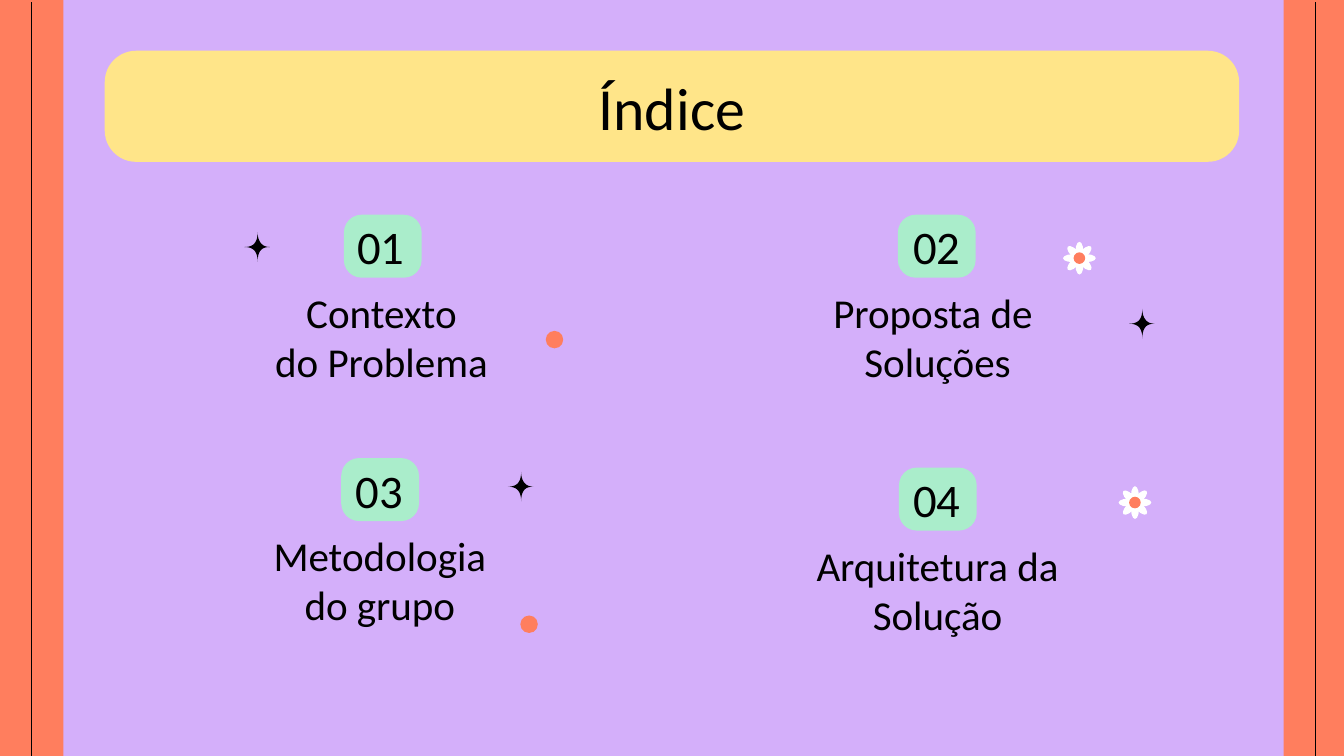
from dataclasses import dataclass
from math import cos, radians, sin

from lxml.etree import SubElement
from pptx import Presentation
from pptx.dml.color import RGBColor
from pptx.enum.shapes import MSO_CONNECTOR, MSO_SHAPE
from pptx.enum.text import MSO_ANCHOR, PP_ALIGN
from pptx.oxml.ns import qn
from pptx.shapes.autoshape import Shape
from pptx.slide import Slide
from pptx.util import Cm, Pt


@dataclass(frozen=True)
class Theme:
    background: str = "D4AFFA"
    coral: str = "FF7E5E"
    banner: str = "FFE589"
    badge: str = "AAEDCB"
    petal: str = "FFFFFF"
    ink: str = "000000"
    font: str = "Calibri"
    title_size: int = 32
    number_size: int = 25
    label_size: int = 22
    corner: float = 0.282


@dataclass(frozen=True)
class Box:
    """Left, top, width and height in centimetres."""
    left: float
    top: float
    width: float
    height: float


@dataclass(frozen=True)
class Entry:
    number: str
    lines: tuple[str, ...]
    badge_left: float
    number_left: float
    top: float


THEME = Theme()
WIDTH, HEIGHT = 25.4, 14.29
BAND_WIDTH = 1.2
BAND_LEFTS = (0, 24.26)

ENTRIES = (
    Entry("01", ("Contexto", "do Problema"), 6.5, 6.05, 4.06),
    Entry("02", ("Proposta de ", "Soluções"), 16.97, 16.56, 4.06),
    Entry("03", ("Metodologia", "do grupo"), 6.45, 6.02, 8.66),
    Entry("04", ("Arquitetura da Solução",), 16.99, 16.56, 8.84),
)

SPARKLES = ((4.62, 4.39), (9.6, 8.92), (21.34, 5.84))
FLOWER_CENTRES = ((21.45, 9.5), (20.4, 4.88))
DOT_CENTRES = ((10.48, 6.42), (10, 11.8))

# Each curve: first control point, second control point, end point
SPARKLE_START = (0.25, 0)
SPARKLE_CURVES = (
    ((0.25, 0.2), (0.17, 0.28), (0, 0.28)),
    ((0.2, 0.28), (0.25, 0.4), (0.25, 0.56)),
    ((0.25, 0.33), (0.35, 0.28), (0.48, 0.28)),
    ((0.3, 0.28), (0.25, 0.13), (0.25, 0)),
)
CURVE_STEPS = 10


def paint(shape: Shape, colour: str) -> None:
    shape.shadow.inherit = False
    shape.fill.solid()
    shape.fill.fore_color.rgb = RGBColor.from_string(colour)
    shape.line.fill.background()


def add_block(slide: Slide, kind: MSO_SHAPE, box: Box, colour: str) -> Shape:
    shape = slide.shapes.add_shape(
        kind, Cm(box.left), Cm(box.top), Cm(box.width), Cm(box.height))
    paint(shape, colour)
    return shape


def add_rounded(slide: Slide, box: Box, colour: str) -> None:
    shape = add_block(slide, MSO_SHAPE.ROUNDED_RECTANGLE, box, colour)
    shape.adjustments[0] = THEME.corner


def add_oval(slide: Slide, centre: tuple[float, float], width: float,
             height: float, colour: str) -> Shape:
    box = Box(centre[0] - width / 2, centre[1] - height / 2, width, height)
    return add_block(slide, MSO_SHAPE.OVAL, box, colour)


def add_text(slide: Slide, box: Box, lines: tuple[str, ...], size: int,
             anchor: MSO_ANCHOR = MSO_ANCHOR.MIDDLE) -> None:
    shape = slide.shapes.add_textbox(
        Cm(box.left), Cm(box.top), Cm(box.width), Cm(box.height))
    frame = shape.text_frame
    frame.word_wrap = True
    frame.vertical_anchor = anchor
    frame.margin_left = frame.margin_right = Cm(0.25)
    frame.margin_top = frame.margin_bottom = Cm(0.25)
    paragraph = frame.paragraphs[0]
    paragraph.alignment = PP_ALIGN.CENTER
    for index, line in enumerate(lines):
        if index:
            paragraph.add_line_break()
        run = paragraph.add_run()
        run.text = line
        run.font.name = THEME.font
        run.font.size = Pt(size)
        run.font.color.rgb = RGBColor.from_string(THEME.ink)


def add_side_band(slide: Slide, left: float) -> None:
    add_block(slide, MSO_SHAPE.RECTANGLE,
              Box(left, 0, BAND_WIDTH, HEIGHT), THEME.coral)
    middle = Cm(left + BAND_WIDTH / 2)
    line = slide.shapes.add_connector(
        MSO_CONNECTOR.STRAIGHT, middle, Cm(HEIGHT), middle, Cm(0.03))
    line.line.color.rgb = RGBColor.from_string(THEME.ink)
    line.line.width = Pt(0.75)
    SubElement(line._element.spPr, qn("a:effectLst"))


def add_entry(slide: Slide, entry: Entry) -> None:
    add_rounded(slide, Box(entry.badge_left, entry.top, 1.47, 1.19), THEME.badge)
    add_text(slide, Box(entry.number_left, entry.top + 0.15, 2.29, 0.89),
             (entry.number,), THEME.number_size)
    add_text(slide, Box(entry.number_left - 1.95, entry.top + 1.12, 6.22, 2.1),
             entry.lines, THEME.label_size, MSO_ANCHOR.TOP)


def sparkle_outline() -> list[tuple[float, float]]:
    """Sample the four cubic curves of the star as short segments."""
    points = [SPARKLE_START]
    for first, second, end in SPARKLE_CURVES:
        start = points[-1]
        for step in range(1, CURVE_STEPS + 1):
            t = step / CURVE_STEPS
            u = 1 - t
            points.append(tuple(
                u**3 * a + 3 * u * u * t * b + 3 * u * t * t * c + t**3 * d
                for a, b, c, d in zip(start, first, second, end)))
    return points


def add_sparkle(slide: Slide, left: float, top: float) -> None:
    points = [(Cm(left + x), Cm(top + y)) for x, y in sparkle_outline()]
    builder = slide.shapes.build_freeform(*points[0])
    builder.add_line_segments(points[1:], close=True)
    paint(builder.convert_to_shape(), THEME.ink)


def add_flower(slide: Slide, centre: tuple[float, float]) -> None:
    for angle in range(0, 360, 45):
        petal_centre = (centre[0] + 0.13 * cos(radians(angle)),
                        centre[1] + 0.13 * sin(radians(angle)))
        petal = add_oval(slide, petal_centre, 0.36, 0.15, THEME.petal)
        petal.rotation = angle
    add_oval(slide, centre, 0.22, 0.22, THEME.coral)


def main() -> None:
    presentation = Presentation()
    presentation.slide_width, presentation.slide_height = Cm(WIDTH), Cm(HEIGHT)
    slide = presentation.slides.add_slide(presentation.slide_layouts[6])
    slide.background.fill.solid()
    slide.background.fill.fore_color.rgb = RGBColor.from_string(THEME.background)

    for left in BAND_LEFTS:
        add_side_band(slide, left)
    add_rounded(slide, Box(1.98, 0.96, 21.44, 2.1), THEME.banner)
    add_text(slide, Box(1.98, 1.22, 21.44, 1.6), ("Índice",), THEME.title_size)
    for entry in ENTRIES:
        add_entry(slide, entry)
    for left, top in SPARKLES:
        add_sparkle(slide, left, top)
    for centre in FLOWER_CENTRES:
        add_flower(slide, centre)
    for centre in DOT_CENTRES:
        add_oval(slide, centre, 0.33, 0.33, THEME.coral)

    presentation.save("out.pptx")


if __name__ == "__main__":
    main()
